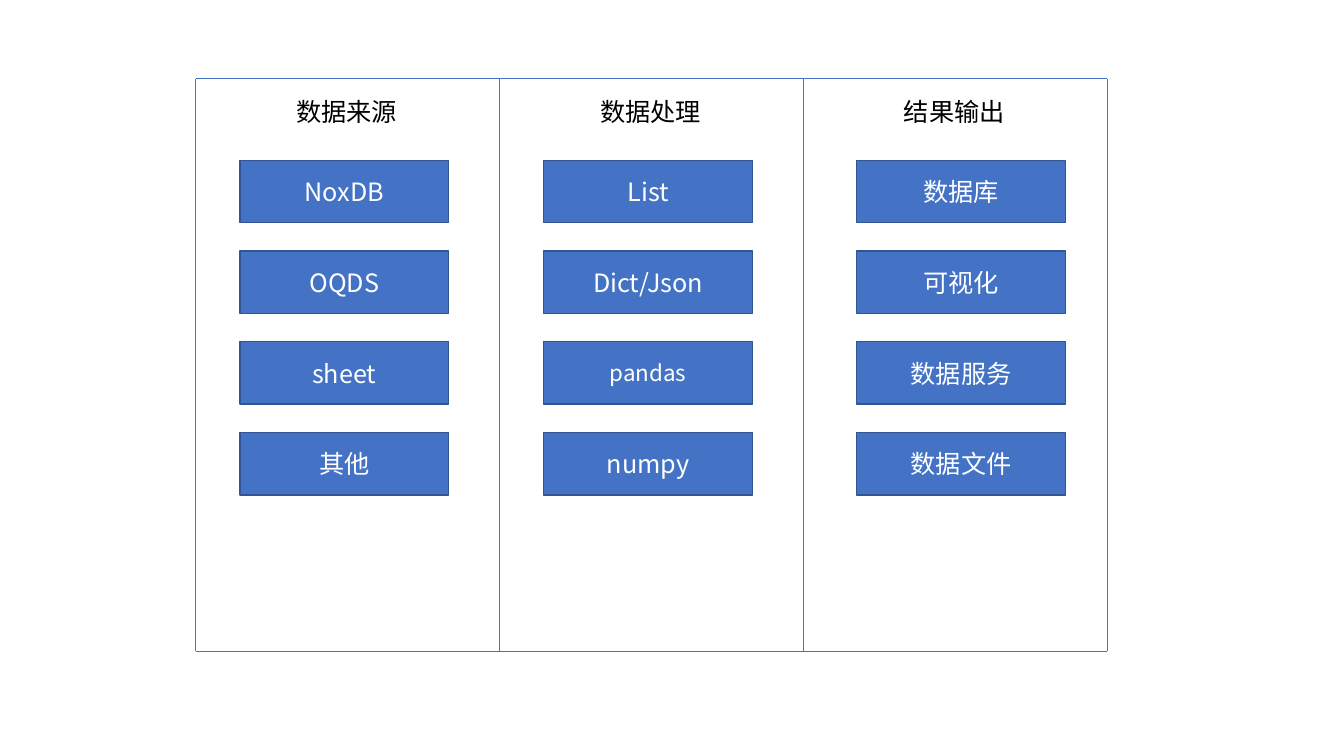
from lxml import etree
from pptx import Presentation
from pptx.dml.color import RGBColor as RGB
from pptx.enum.shapes import MSO_CONNECTOR as CONNECTOR, MSO_SHAPE as SHAPE
from pptx.enum.text import MSO_ANCHOR as ANCHOR, PP_ALIGN as ALIGN
from pptx.oxml.ns import qn
from pptx.util import Inches, Pt

COLORS = {"box": "4472C4", "edge": "325491", "rule": "4472C4",
          "title": "000000", "label": "FFFFFF"}
FONT = "Noto Sans CJK SC"
STAGES = [
    ("数据来源", 0.44, ["NoxDB", "OQDS", "sheet", "其他"]),
    ("数据处理", 0.44, ["List", "Dict/Json", "pandas", "numpy"]),
    ("结果输出", 0.53, ["数据库", "可视化", "数据服务", "数据文件"]),
]
LABEL_SIZES = {"pandas": 16}


def color(name):
    return RGB.from_string(COLORS[name])


def write(frame, text, color_name, size=18):
    frame.text = text
    run = frame.paragraphs[0].runs[0]
    run.font.size = Pt(size)
    run.font.name = FONT
    run.font.color.rgb = color(color_name)
    etree.SubElement(run.font._element, qn("a:ea")).set("typeface", FONT)


def add_rule(slide, x1, y1, x2, y2):
    rule = slide.shapes.add_connector(
        CONNECTOR.STRAIGHT, Inches(x1), Inches(y1), Inches(x2), Inches(y2))
    rule.line.color.rgb = color("rule")
    rule.line.width = Pt(0.5)
    etree.SubElement(rule._element.spPr, qn("a:effectLst"))


def add_item(slide, left, top, label):
    item = slide.shapes.add_shape(
        SHAPE.RECTANGLE, Inches(left), Inches(top), Inches(2.07), Inches(0.62))
    item.shadow.inherit = False
    item.fill.solid()
    item.fill.fore_color.rgb = color("box")
    item.line.color.rgb = color("edge")
    item.line.width = Pt(1)
    frame = item.text_frame
    frame.vertical_anchor = ANCHOR.MIDDLE
    write(frame, label, "label", LABEL_SIZES.get(label, 18))
    frame.paragraphs[0].alignment = ALIGN.CENTER


def add_stage(slide, left, top, title, item_indent, labels):
    heading = slide.shapes.add_textbox(
        Inches(left + 0.9), Inches(top + 0.13), Inches(1.21), Inches(0.4))
    heading.text_frame.word_wrap = False
    write(heading.text_frame, title, "title")
    for row, label in enumerate(labels):
        add_item(slide, left + item_indent, top + 0.81 + row * 0.9, label)


def add_pipeline(slide, left, top, width, height):
    stage_width = width / len(STAGES)
    for y in (top, top + height):
        add_rule(slide, left, y, left + width, y)
    for index in range(len(STAGES) + 1):
        x = left + index * stage_width
        add_rule(slide, x, top, x, top + height)
    for index, stage in enumerate(STAGES):
        add_stage(slide, left + index * stage_width, top, *stage)


deck = Presentation()
deck.slide_width, deck.slide_height = Inches(13.33), Inches(7.5)
pipeline_slide = deck.slides.add_slide(deck.slide_layouts[6])
add_pipeline(pipeline_slide, 1.94, 0.78, 9.04, 5.68)
deck.save("out.pptx")
